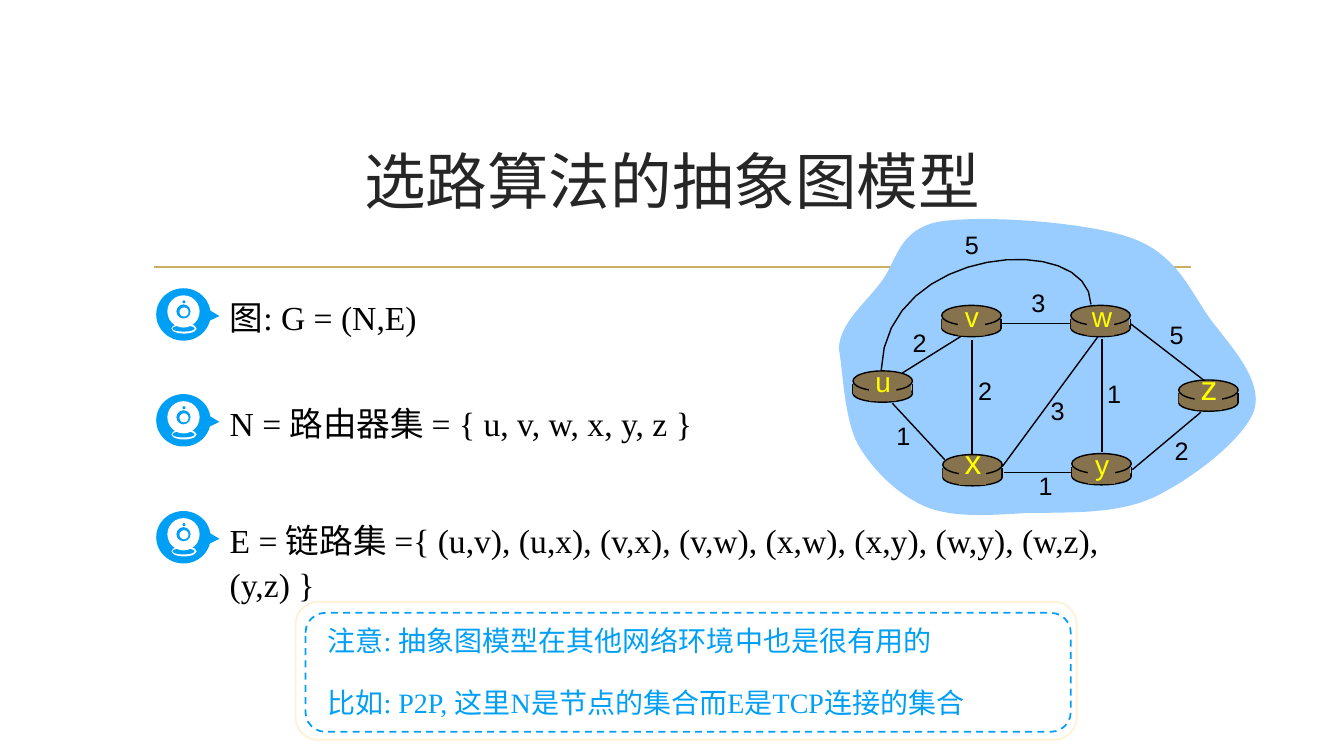
import pptx
import pptx.dml.color
import pptx.enum.dml
import pptx.enum.shapes
import pptx.enum.text
import pptx.oxml
import pptx.oxml.ns
import pptx.util
from pptx.util import Inches

SHAPE = pptx.enum.shapes.MSO_SHAPE
ALIGN = pptx.enum.text.PP_ALIGN
ANCHOR = pptx.enum.text.MSO_ANCHOR
CJK, SERIF, SANS = "Noto Sans CJK SC", "Times New Roman", "Arial"
BLUE, BROWN, BLACK, WHITE = "009FF6", "86724D", "000000", "FFFFFF"

# Router name: left, top, label size
ROUTERS = {
    "u": (8.46, 3.68, 20), "x": (9.35, 4.51, 24), "v": (9.34, 3.03, 20),
    "w": (10.62, 3.03, 20), "y": (10.63, 4.5, 20), "z": (11.69, 3.77, 24),
}
# Link: start, end, cost, left and top of the cost label
LINKS = [
    ((8.95, 3.7), (9.59, 3.3), "2", 8.95, 3.2),
    ((9.64, 3.37), (9.64, 4.52), "2", 9.6, 3.67),
    ((9.37, 4.56), (8.85, 4), "1", 8.79, 4.12),
    ((9.94, 4.63), (10.89, 3.34), "3", 10.32, 3.87),
    ((10.64, 4.69), (9.96, 4.69), "1", 10.2, 4.62),
    ((10.93, 3.36), (10.93, 4.48), "1", 10.88, 3.7),
    ((11.23, 4.66), (11.91, 4.09), "2", 11.55, 4.27),
    ((11.95, 3.78), (11.21, 3.21), "5", 11.5, 3.12),
    ((10.63, 3.21), (9.94, 3.21), "3", 10.13, 2.8),
]
# Curves: start, then two control points and an end for each section
CLOUD = [
    (8.32, 3.46), (8.33, 3.21), (8.57, 3.02), (8.73, 2.81),
    (8.9, 2.6), (8.9, 2.28), (9.31, 2.2), (9.73, 2.13), (10.77, 2.2), (11.22, 2.36),
    (11.67, 2.52), (11.8, 2.88), (12, 3.16), (12.21, 3.44), (12.53, 3.77), (12.44, 4.07),
    (12.34, 4.36), (11.8, 4.77), (11.43, 4.94), (11.05, 5.11), (10.55, 5.08), (10.18, 5.09),
    (9.81, 5.11), (9.47, 5.14), (9.19, 5.03), (8.92, 4.92), (8.66, 4.67), (8.51, 4.41),
    (8.37, 4.15), (8.36, 3.66), (8.32, 3.46),
]
ARC = [(10.82, 3.02), (10.81, 2.29), (8.78, 2.42), (8.74, 3.67)]
# Webcam parts inside a bullet: left, top, width, height, colour
WEBCAM = [
    (0.15, 0.35, 0.25, 0.1, WHITE), (0.16, 0.37, 0.22, 0.06, BLUE),
    (0.11, 0.07, 0.32, 0.32, WHITE), (0.2, 0.16, 0.14, 0.14, BLUE),
    (0.23, 0.19, 0.09, 0.09, WHITE), (0.26, 0.12, 0.03, 0.03, BLUE),
]
ITEMS = [
    (2.86, 3.58, "图: G = (N,E)"),
    (3.91, 6.21, "N = 路由器集 = { u, v, w, x, y, z }"),
    (5.07, 9.73, "E = 链路集 ={ (u,v), (u,x), (v,x), (v,w), (x,w), (x,y), (w,y), (w,z), (y,z) }"),
]
NOTES = [
    "注意: 抽象图模型在其他网络环境中也是很有用的",
    "比如: P2P, 这里N是节点的集合而E是TCP连接的集合",
]


def rgb(value):
    return pptx.dml.color.RGBColor.from_string(value)


def paint(shape, fill=None, line=None, weight=1):
    shape.shadow.inherit = False
    if fill:
        shape.fill.solid()
        shape.fill.fore_color.rgb = rgb(fill)
    else:
        shape.fill.background()
    if line:
        shape.line.color.rgb = rgb(line)
        shape.line.width = pptx.util.Pt(weight)
    else:
        shape.line.fill.background()
    return shape


def add_figure(page, kind, left, top, width, height, **style):
    shape = page.shapes.add_shape(kind, Inches(left), Inches(top), Inches(width), Inches(height))
    return paint(shape, **style)


def add_line(page, start, end, color=BLACK, weight=1):
    line = page.shapes.add_connector(
        pptx.enum.shapes.MSO_CONNECTOR.STRAIGHT, *[Inches(value) for value in start + end])
    line.line.color.rgb = rgb(color)
    line.line.width = pptx.util.Pt(weight)
    line._element.spPr.append(pptx.oxml.parse_xml(
        "<a:effectLst %s/>" % pptx.oxml.ns.nsdecls("a")))


def add_curve(page, knots, closed, steps=16, **style):
    """Draw a chain of cubic sections as a fine outline."""
    points = [knots[0]]
    for first in range(0, len(knots) - 1, 3):
        section = knots[first:first + 4]
        for step in range(1, steps + 1):
            t = step / steps
            weights = ((1 - t) ** 3, 3 * t * (1 - t) ** 2, 3 * t * t * (1 - t), t ** 3)
            points.append(tuple(
                sum(weight * knot[axis] for weight, knot in zip(weights, section))
                for axis in (0, 1)))
    outline = [(Inches(x), Inches(y)) for x, y in points]
    builder = page.shapes.build_freeform(*outline[0])
    builder.add_line_segments(outline[1:], close=closed)
    return paint(builder.convert_to_shape(), **style)


def add_text(page, lines, left, top, width, height, size=18, font=SANS, color=BLACK,
             align=ALIGN.LEFT, anchor=ANCHOR.TOP, wrap=True, spacing=None, gap=0):
    box = page.shapes.add_textbox(Inches(left), Inches(top), Inches(width), Inches(height))
    frame = box.text_frame
    frame.word_wrap = wrap
    frame.vertical_anchor = anchor
    for index, text in enumerate(lines):
        para = frame.paragraphs[0] if index == 0 else frame.add_paragraph()
        para.alignment = align
        para.line_spacing = spacing
        if index:
            para.space_before = pptx.util.Pt(gap)
        span = para.add_run()
        span.text = text
        span.font.size = pptx.util.Pt(size)
        span.font.name = font
        span.font.color.rgb = rgb(color)
        span._r.get_or_add_rPr().append(pptx.oxml.parse_xml(
            '<a:ea %s typeface="%s"/>' % (pptx.oxml.ns.nsdecls("a"), CJK)))


def add_router(page, name, left, top, size):
    add_figure(page, SHAPE.OVAL, left, top + 0.14, 0.59, 0.17, fill=BROWN, line=BLACK)
    for side in (left, left + 0.59):
        add_line(page, (side, top + 0.13), (side, top + 0.23))
    add_figure(page, SHAPE.RECTANGLE, left, top + 0.13, 0.58, 0.1, fill=BROWN)
    add_figure(page, SHAPE.OVAL, left, top, 0.59, 0.2, fill=BROWN, line=BLACK)
    add_figure(page, SHAPE.RECTANGLE, left + 0.16, top + 0.02, 0.27, 0.28, fill=BROWN)
    rise, height = (0.18, 0.5) if size > 20 else (0.11, 0.44)
    add_text(page, [name], left + 0.11, top - rise, 0.38, height, size=size,
             color="FFFF00", align=ALIGN.CENTER, wrap=False)


def add_network(page):
    add_curve(page, CLOUD, True, fill="99CCFF")
    for start, end, *_ in LINKS:
        add_line(page, start, end)
    add_curve(page, ARC, False, line=BLACK)
    for name, (left, top, size) in ROUTERS.items():
        add_router(page, name, left, top, size)
    costs = [link[2:] for link in LINKS] + [("5", 9.47, 2.23)]
    for cost, left, top in costs:
        add_text(page, [cost], left, top, 0.34, 0.4, align=ALIGN.CENTER)


def add_item(page, top, width, text):
    bubble = add_figure(page, SHAPE.OVAL_CALLOUT, 1.55, top, 0.54, 0.52, fill=BLUE)
    bubble.adjustments[0], bubble.adjustments[1] = 0.66, 0.03
    for left, drop, across, height, color in WEBCAM:
        add_figure(page, SHAPE.OVAL, 1.55 + left, top + drop, across, height, fill=color)
    add_text(page, [text], 2.18, top, width, 0.52, size=24, font=SERIF, spacing=1.1)


def add_note(page):
    add_figure(page, SHAPE.ROUNDED_RECTANGLE, 2.93, 5.97, 7.75, 1.37,
               fill=WHITE, line="FEF1D6", weight=1.25)
    add_text(page, NOTES, 3.15, 6.14, 7.46, 1.11, size=20, font=SERIF, color=BLUE, gap=20)
    frame = add_figure(page, SHAPE.ROUNDED_RECTANGLE, 3.03, 6.08, 7.59, 1.18,
                       line=BLUE, weight=1.25)
    frame.line.dash_style = pptx.enum.dml.MSO_LINE.DASH


def main():
    deck = pptx.Presentation()
    deck.slide_width, deck.slide_height = Inches(13.33), Inches(7.5)
    page = deck.slides.add_slide(deck.slide_layouts[6])
    # Heading
    add_line(page, (1.53, 2.65), (11.81, 2.65), color="CBAF62", weight=1.25)
    add_text(page, ["选路算法的抽象图模型"], 1.42, 1.07, 10.5, 1.43, size=44, font=CJK,
             color="262626", align=ALIGN.CENTER, anchor=ANCHOR.MIDDLE)
    # Graph, note and definitions
    add_network(page)
    add_note(page)
    for item in ITEMS:
        add_item(page, *item)
    deck.save("out.pptx")


if __name__ == "__main__":
    main()
